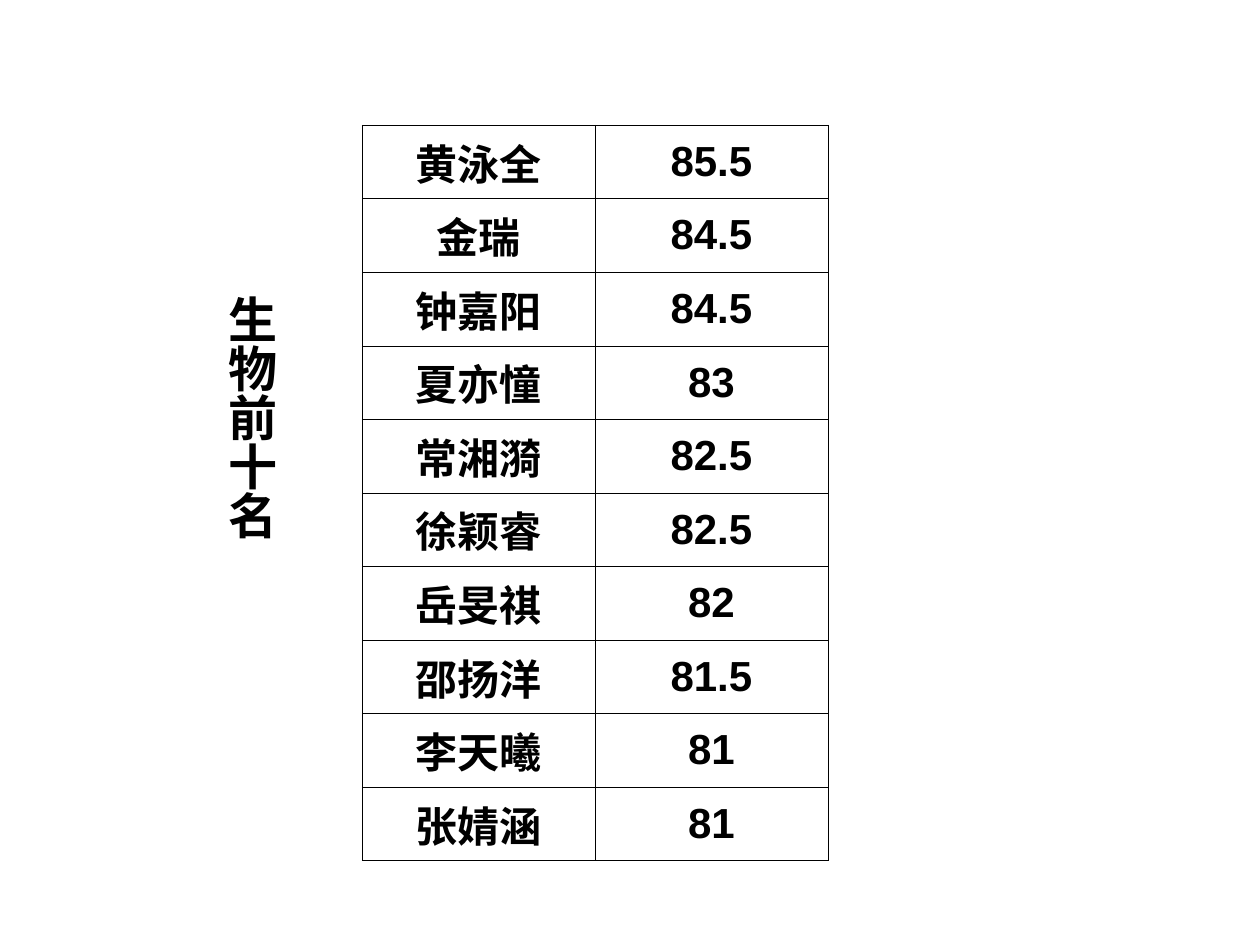
from lxml.etree import SubElement
from pptx import Presentation
from pptx.dml.color import RGBColor
from pptx.enum.text import MSO_ANCHOR, MSO_AUTO_SIZE, PP_ALIGN
from pptx.oxml.ns import qn
from pptx.util import Inches, Pt

TITLE = "生物前十名"
SCORES = [
    ("黄泳全", "85.5"),
    ("金瑞", "84.5"),
    ("钟嘉阳", "84.5"),
    ("夏亦憧", "83"),
    ("常湘漪", "82.5"),
    ("徐颖睿", "82.5"),
    ("岳旻祺", "82"),
    ("邵扬洋", "81.5"),
    ("李天曦", "81"),
    ("张婧涵", "81"),
]
COLORS = {"ink": "000000"}
COLUMN_WIDTH, ROW_HEIGHT = 233, 70


def px(length):
    return Inches(length / 126)


def style_text(para, font_name, size, align):
    para.alignment = align
    font = para.runs[0].font
    font.name, font.size, font.bold = font_name, Pt(size), True
    font.color.rgb = RGBColor.from_string(COLORS["ink"])


def add_borders(cell):
    properties = cell._tc.get_or_add_tcPr()
    for position, side in enumerate(("a:lnL", "a:lnR", "a:lnT", "a:lnB")):
        line = SubElement(properties, qn(side), w=str(Pt(0.23)))
        fill = SubElement(line, qn("a:solidFill"))
        SubElement(fill, qn("a:srgbClr"), val=COLORS["ink"])
        properties.insert(position, line)


def add_title(slide):
    title = slide.shapes.title
    title.left, title.top, title.width, title.height = map(px, (204, 283, 83, 288))
    frame = title.text_frame
    frame.text = TITLE
    frame.word_wrap = True
    frame.auto_size = MSO_AUTO_SIZE.SHAPE_TO_FIT_TEXT
    frame.vertical_anchor = MSO_ANCHOR.TOP
    frame.margin_left = frame.margin_right = Inches(0.05)
    frame.margin_top = frame.margin_bottom = Inches(0.1)
    frame._txBody.bodyPr.set("vert", "eaVert")
    style_text(frame.paragraphs[0], "Times New Roman", 28, PP_ALIGN.LEFT)


def add_score_table(slide):
    columns = len(SCORES[0])
    table = slide.shapes.add_table(
        len(SCORES), columns, px(362), px(125),
        px(COLUMN_WIDTH * columns), px(ROW_HEIGHT * len(SCORES)),
    ).table
    table.first_row = table.horz_banding = False
    for row, values in zip(table.rows, SCORES):
        for cell, value in zip(row.cells, values):
            cell.text = value
            cell.fill.background()
            cell.vertical_anchor = MSO_ANCHOR.MIDDLE
            cell.margin_left = cell.margin_right = Inches(0.01)
            cell.margin_top = cell.margin_bottom = Inches(0.05)
            style_text(cell.text_frame.paragraphs[0], "Arial", 24, PP_ALIGN.CENTER)
            add_borders(cell)


def main():
    deck = Presentation()
    deck.slide_width, deck.slide_height = Inches(10), Inches(7.5)
    slide = deck.slides.add_slide(deck.slide_layouts.get_by_name("Title Only"))
    add_title(slide)
    add_score_table(slide)
    deck.save("out.pptx")


if __name__ == "__main__":
    main()
